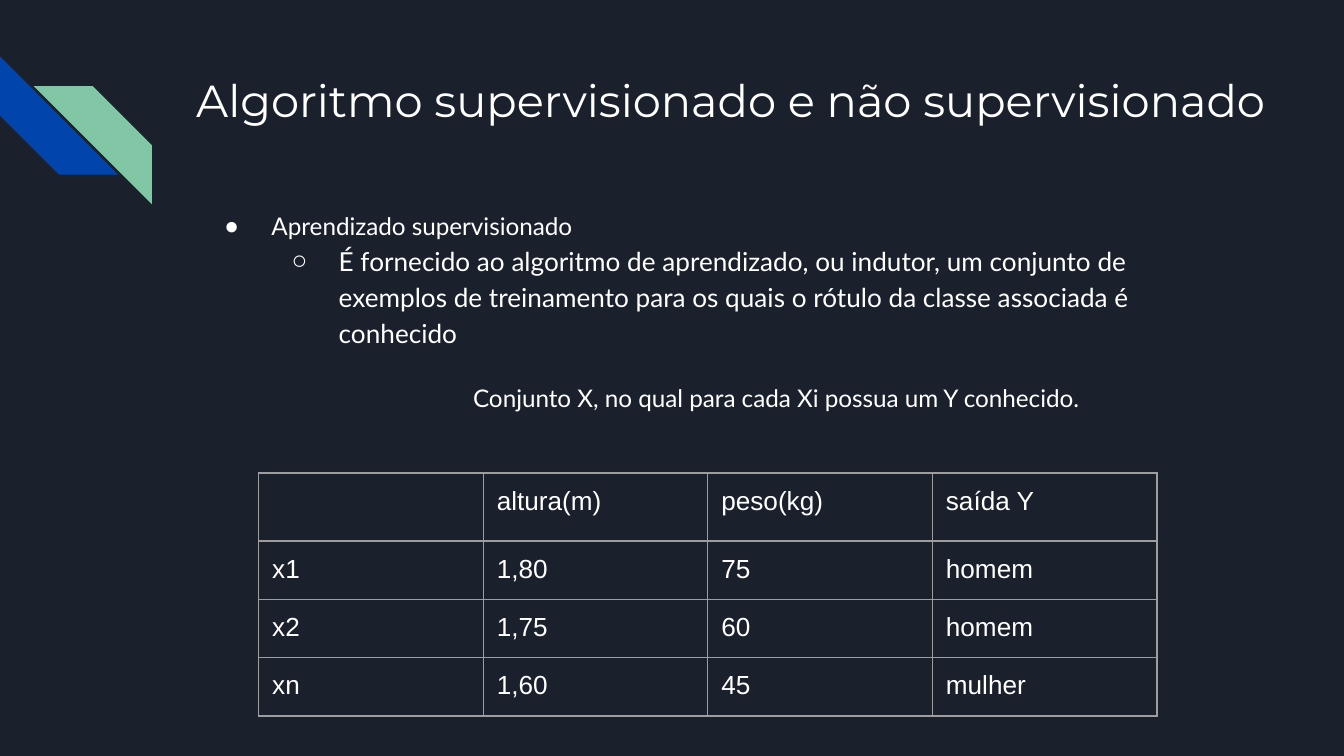
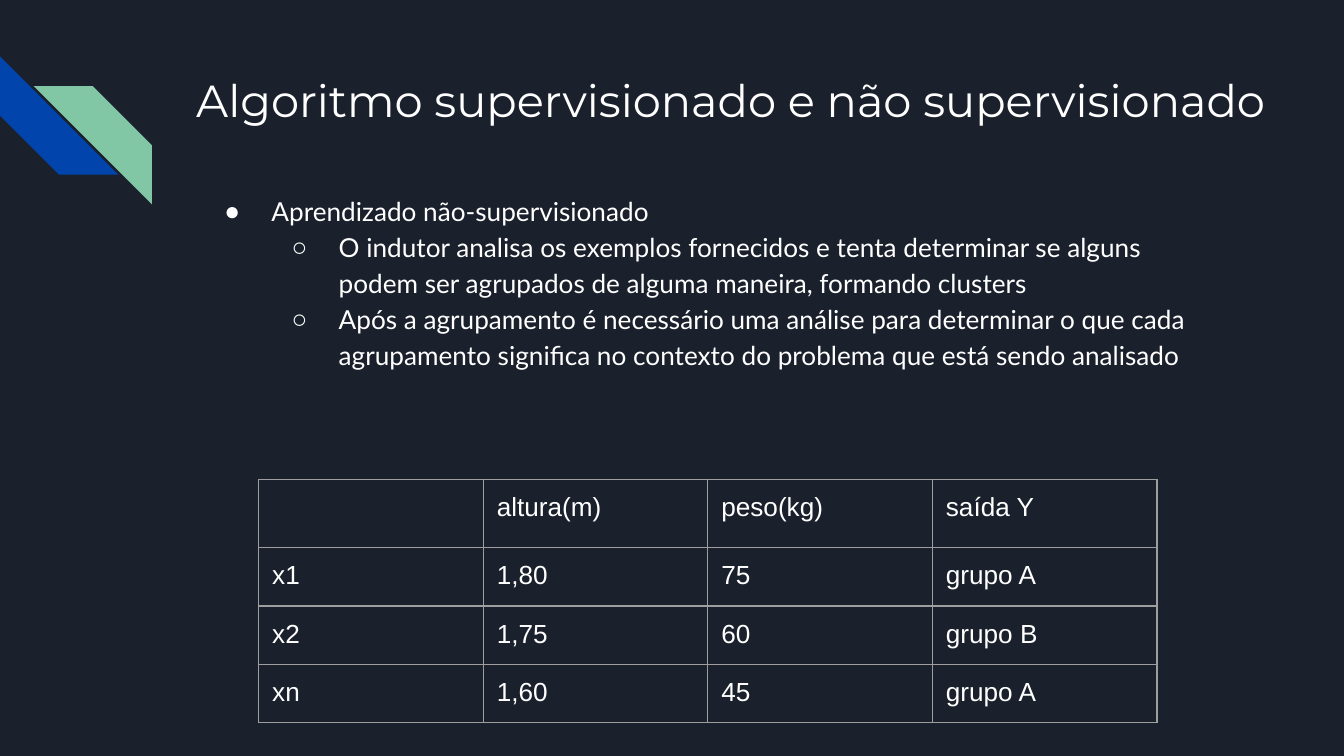
from dataclasses import dataclass

from lxml import etree
from pptx import Presentation
from pptx.dml.color import RGBColor
from pptx.enum.shapes import MSO_SHAPE
from pptx.enum.text import MSO_ANCHOR, MSO_AUTO_SIZE, PP_ALIGN
from pptx.oxml.ns import qn
from pptx.util import Inches, Pt

STRIPE = MSO_SHAPE.DIAGONAL_STRIPE
TOP = MSO_ANCHOR.TOP
LEFT = PP_ALIGN.LEFT
NO_FIT = MSO_AUTO_SIZE.NONE

UNIT = Inches(0.1)  # the slide is a grid of 100 columns of this size
COLS = 100
ROWS = COLS * 9 / 16


@dataclass(frozen=True)
class Theme:
    bg: str = "1B212C"
    text: str = "FFFFFF"
    blue: str = "0145AC"
    green: str = "82C7A5"
    border: str = "9E9E9E"
    border_width: float = 0.75
    title_font: str = "Montserrat"
    body_font: str = "Lato"
    table_font: str = "Arial"
    title_size: int = 24
    text_size: int = 14
    small_size: int = 13
    line_spacing: float = 1.15
    paragraph_gap: int = 16


T = Theme()

TITLE = "Algoritmo supervisionado e não supervisionado"
BULLETS = ("●", "○")
TABLE_HEAD = ("", "altura(m)", "peso(kg)", "saída Y")
SAMPLES = (("x1", "1,80", "75"), ("x2", "1,75", "60"), ("xn", "1,60", "45"))


def units(n):
    return round(n * UNIT)


def place(sp, box):
    sp.left, sp.top, sp.width, sp.height = map(units, box)


def add_sub(parent, tag, **attrs):
    return etree.SubElement(parent, qn(tag), attrs)


def add_color(parent, tag, color):
    add_sub(add_sub(parent, tag), "a:srgbClr", val=color)


def write(p, text, font=T.body_font, size=T.text_size, color=T.text):
    p.alignment = LEFT
    r = p.add_run()
    r.text = text
    r.font.name = font
    r.font.size = Pt(size)
    r.font.color.rgb = RGBColor.from_string(color)


def set_indent(p, level, bullet, left, hanging):
    """Indent a paragraph, in grid columns, with an optional bullet."""
    p.level = level
    pPr = p._p.get_or_add_pPr()
    pPr.set("marL", str(units(left)))
    pPr.set("indent", str(-units(hanging)))
    if bullet:
        add_color(pPr, "a:buClr", T.text)
        add_sub(pPr, "a:buChar", char=bullet)
    else:
        add_sub(pPr, "a:buNone")


def open_frame(sp, box):
    """Place a placeholder and return its text frame, ready for text."""
    place(sp, box)
    tf = sp.text_frame
    tf.word_wrap = True
    tf.auto_size = NO_FIT
    tf.vertical_anchor = TOP
    tf.margin_left = tf.margin_right = tf.margin_top = tf.margin_bottom = UNIT
    return tf


def add_stripes(slide, left, top, side):
    """Draw the two corner stripes behind everything else."""
    blue = (left, top, side, side)
    green = (left + 2.5, top + 2.2, side, side)
    for i, (box, color) in enumerate(((blue, T.blue), (green, T.green))):
        sp = slide.shapes.add_shape(STRIPE, *map(units, box))
        sp.shadow.inherit = False
        sp.fill.solid()
        sp.fill.fore_color.rgb = RGBColor.from_string(color)
        sp.line.fill.background()
        if color == T.blue:
            sp.rotation = 270
        else:
            sp.element.spPr.xfrm.set("flipH", "1")
        slide.shapes.element.insert(2 + i, sp.element)


def fill_title(slide, box):
    tf = open_frame(slide.shapes.title, box)
    write(tf.paragraphs[0], TITLE, font=T.title_font, size=T.title_size)


def fill_body(slide, box, items):
    """Write (level, text, size) items; level None is an unbulleted note."""
    tf = open_frame(slide.placeholders[1], box)
    for i, (level, text, size) in enumerate(items):
        p = tf.add_paragraph() if i else tf.paragraphs[0]
        p.line_spacing = T.line_spacing
        p.space_before = Pt(T.paragraph_gap if level is None else 0)
        if level is None:
            set_indent(p, 0, None, left=20, hanging=0)
        else:
            set_indent(p, level, BULLETS[level], left=5 * (level + 1), hanging=3.5)
        write(p, text, size=size)


def format_cell(cell, text):
    cell.margin_left = cell.margin_right = UNIT
    cell.margin_top = cell.margin_bottom = UNIT
    tcPr = cell._tc.get_or_add_tcPr()
    for edge in ("a:lnL", "a:lnR", "a:lnT", "a:lnB"):
        ln = add_sub(tcPr, edge, w=str(Pt(T.border_width)))
        add_color(ln, "a:solidFill", T.border)
    cell.fill.background()
    if text:
        write(cell.text_frame.paragraphs[0], text, font=T.table_font)


def add_samples(slide, left, top, outputs, col=16.71, head=4.76, row=4.34):
    rows = [TABLE_HEAD] + [(*s, out) for s, out in zip(SAMPLES, outputs)]
    n = len(TABLE_HEAD)
    box = (left, top, n * col, head + row * len(SAMPLES))
    table = slide.shapes.add_table(len(rows), n, *map(units, box)).table
    table.first_row = table.horz_banding = False
    for column in table.columns:
        column.width = units(col)
    for i, values in enumerate(rows):
        table.rows[i].height = units(row if i else head)
        for j, text in enumerate(values):
            format_cell(table.cell(i, j), text)


def add_learning_slide(prs, body_top, items, table_top, outputs):
    slide = prs.slides.add_slide(prs.slide_layouts[1])
    add_stripes(slide, 0, 4.2, 8.8)
    fill_title(slide, (13.6, 4.4, 81.8, 10))
    fill_body(slide, (14.2, body_top, 77, 49 - body_top), items)
    add_samples(slide, 19.25, table_top, outputs)


def main():
    prs = Presentation()
    prs.slide_width, prs.slide_height = units(COLS), units(ROWS)
    fill = prs.slide_master.background.fill
    fill.solid()
    fill.fore_color.rgb = RGBColor.from_string(T.bg)

    add_learning_slide(prs, 14.4, [
        (0, "Aprendizado supervisionado", T.small_size),
        (1, "É fornecido ao algoritmo de aprendizado, ou indutor, um conjunto de "
            "exemplos de treinamento para os quais o rótulo da classe associada é "
            "conhecido", T.text_size),
        (None, "Conjunto X, no qual para cada Xi possua um Y conhecido.", T.small_size),
    ], 35.2, ("homem", "homem", "mulher"))

    add_learning_slide(prs, 13.2, [
        (0, "Aprendizado não-supervisionado", T.text_size),
        (1, "O indutor analisa os exemplos fornecidos e tenta determinar se alguns "
            "podem ser agrupados de alguma maneira, formando clusters", T.text_size),
        (1, "Após a agrupamento é necessário uma análise para determinar o que cada "
            "agrupamento significa no contexto do problema que está sendo analisado",
         T.text_size),
    ], 35.7, ("grupo A", "grupo B", "grupo A"))

    prs.save("out.pptx")


if __name__ == "__main__":
    main()
